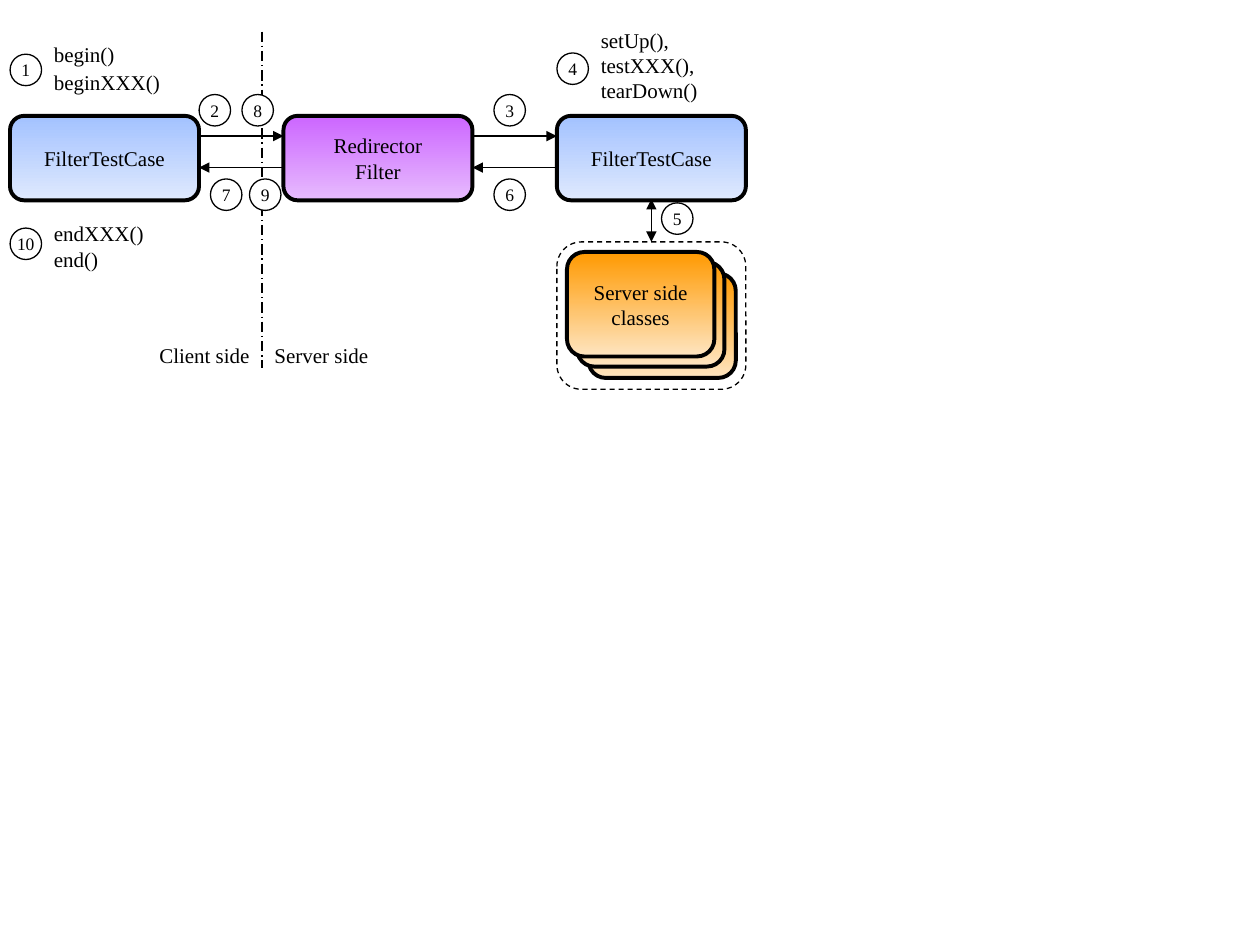
"""Draw the request flow between a client-side and a server-side filter test case."""
from typing import NamedTuple, Optional

from pptx import Presentation
from pptx.dml.color import RGBColor
from pptx.enum.dml import MSO_LINE
from pptx.enum.shapes import MSO_CONNECTOR, MSO_SHAPE
from pptx.enum.text import MSO_ANCHOR, MSO_AUTO_SIZE, PP_ALIGN
from pptx.oxml import parse_xml
from pptx.oxml.ns import nsdecls
from pptx.util import Inches, Pt

FONT = "Times New Roman"
BLACK = "000000"
WHITE = "FFFFFF"
BLUES = ("A3C2FF", "DFE9FE")
PURPLES = ("CC66FF", "E7BBFE")
ORANGES = ("FF9900", "FEE5C1")
CLIENT, REDIRECTOR, SERVER = 0.08, 2.25, 4.42
BOX_WIDTH = 1.5
REQUEST_Y, RESPONSE_Y = 1.08, 1.33


class Box(NamedTuple):
    left: float
    top: float
    width: float
    height: float
    gradient: Optional[tuple[str, str]]
    text: str = ""
    weight: float = 2.25
    dash: Optional[MSO_LINE] = None


class Step(NamedTuple):
    number: int
    left: float
    top: float
    fill: Optional[str] = None


class Line(NamedTuple):
    start: tuple[float, float]
    end: tuple[float, float]
    heads: tuple[str, ...] = ("tailEnd",)
    dash: Optional[MSO_LINE] = None


class Label(NamedTuple):
    text: str
    left: float
    top: float
    width: float = 1.17
    height: float = 0.3
    align: PP_ALIGN = PP_ALIGN.LEFT


BOXES = [
    Box(CLIENT, 0.92, BOX_WIDTH, 0.67, BLUES, "FilterTestCase"),
    Box(REDIRECTOR, 0.92, BOX_WIDTH, 0.67, PURPLES, "Redirector\nFilter"),
    Box(SERVER, 0.92, BOX_WIDTH, 0.67, BLUES, "FilterTestCase"),
    Box(4.67, 2.17, 1.17, 0.83, ORANGES),
    Box(4.58, 2.08, 1.17, 0.83, ORANGES),
    Box(4.5, 2, 1.17, 0.83, ORANGES, "Server side\nclasses"),
    Box(SERVER, 1.92, BOX_WIDTH, 1.17, None, weight=0.75, dash=MSO_LINE.DASH),
]
LINES = [
    Line((CLIENT + BOX_WIDTH, REQUEST_Y), (REDIRECTOR, REQUEST_Y)),
    Line((REDIRECTOR + BOX_WIDTH, REQUEST_Y), (SERVER, REQUEST_Y)),
    Line((SERVER, RESPONSE_Y), (REDIRECTOR + BOX_WIDTH, RESPONSE_Y)),
    Line((REDIRECTOR, RESPONSE_Y), (CLIENT + BOX_WIDTH, RESPONSE_Y)),
    Line((5.17, 1.58), (5.17, 1.92), ("headEnd", "tailEnd")),
    Line((2.08, 0.25), (2.08, 2.92), (), MSO_LINE.LONG_DASH_DOT),
]
STEPS = [
    Step(1, CLIENT, 0.43),
    Step(2, 1.58, 0.75),
    Step(3, 3.92, 0.75),
    Step(4, SERVER, 0.42),
    Step(5, 5.25, 1.61),
    Step(6, 3.92, 1.42),
    Step(7, 1.67, 1.42),
    Step(8, 1.92, 0.75, WHITE),
    Step(9, 1.98, 1.42, WHITE),
    Step(10, CLIENT, 1.81),
]
LABELS = [
    Label("begin()", 0.33, 0.28),
    Label("beginXXX()", 0.33, 0.5),
    Label("endXXX()", 0.33, 1.7, 1.25),
    Label("end()", 0.33, 1.91),
    Label("setUp(),\vtestXXX(),\vtearDown()", 4.67, 0.17, height=0.7),
    Label("Client side", 0.83, 2.67, 1.25, align=PP_ALIGN.RIGHT),
    Label("Server side", 2.08, 2.67, 1.25),
]


def color(value: str) -> RGBColor:
    """Turn a hex string into a colour."""
    return RGBColor.from_string(value)


def set_line(line, weight: float, dash: Optional[MSO_LINE] = None) -> None:
    """Give an outline or a connector its black stroke."""
    line.color.rgb = color(BLACK)
    line.width = Pt(weight)
    if dash is not None:
        line.dash_style = dash


def write(frame, text: str, size: float, align: PP_ALIGN, before: float = 0) -> None:
    """Fill a text frame with evenly styled paragraphs."""
    frame.text = text
    for para in frame.paragraphs:
        para.alignment = align
        para.space_before = Pt(before)
        para.font.name = FONT
        para.font.size = Pt(size)
        para.font.color.rgb = color(BLACK)


def add_outline(page, kind: MSO_SHAPE, left: float, top: float, width: float,
                height: float, text: str, size: float):
    """Add a preset shape with centred text and no shadow."""
    shape = page.shapes.add_shape(
        kind, Inches(left), Inches(top), Inches(width), Inches(height))
    shape.shadow.inherit = False
    frame = shape.text_frame
    frame.word_wrap = False
    frame.vertical_anchor = MSO_ANCHOR.MIDDLE
    if text:
        write(frame, text, size, PP_ALIGN.CENTER)
    return shape


def draw_box(page, box: Box) -> None:
    """Draw a rounded box, shaded from top to bottom when it has a gradient."""
    shape = add_outline(page, MSO_SHAPE.ROUNDED_RECTANGLE, box.left, box.top,
                        box.width, box.height, box.text, 12)
    if box.gradient:
        shape.fill.gradient()
        shape.fill.gradient_angle = 270
        for stop, shade in zip(shape.fill.gradient_stops, box.gradient):
            stop.color.rgb = color(shade)
    else:
        shape.fill.background()
    set_line(shape.line, box.weight, box.dash)


def draw_step(page, step: Step) -> None:
    """Draw a numbered circle."""
    circle = add_outline(page, MSO_SHAPE.OVAL, step.left, step.top,
                         0.25, 0.25, str(step.number), 10)
    if step.fill:
        circle.fill.solid()
        circle.fill.fore_color.rgb = color(step.fill)
    else:
        circle.fill.background()
    set_line(circle.line, 0.75)


def draw_line(page, line: Line) -> None:
    """Draw a straight connector with its arrowheads."""
    connector = page.shapes.add_connector(
        MSO_CONNECTOR.STRAIGHT, *map(Inches, line.start + line.end))
    set_line(connector.line, 0.75, line.dash)
    stroke = connector.line._get_or_add_ln()
    for head in line.heads:
        stroke.append(parse_xml(f'<a:{head} {nsdecls("a")} type="triangle"/>'))
    connector._element.spPr.append(parse_xml(f'<a:effectLst {nsdecls("a")}/>'))


def draw_label(page, label: Label) -> None:
    """Draw a free-standing caption."""
    box = page.shapes.add_textbox(Inches(label.left), Inches(label.top),
                                  Inches(label.width), Inches(label.height))
    box.text_frame.word_wrap = True
    box.text_frame.auto_size = MSO_AUTO_SIZE.SHAPE_TO_FIT_TEXT
    write(box.text_frame, label.text, 12, label.align, 7.5)


def main() -> None:
    """Build the deck and save it."""
    deck = Presentation()
    deck.slide_width, deck.slide_height = Inches(10), Inches(7.5)
    page = deck.slides.add_slide(deck.slide_layouts[6])
    for draw, items in ((draw_box, BOXES), (draw_line, LINES),
                        (draw_step, STEPS), (draw_label, LABELS)):
        for item in items:
            draw(page, item)
    deck.save("out.pptx")


if __name__ == "__main__":
    main()
